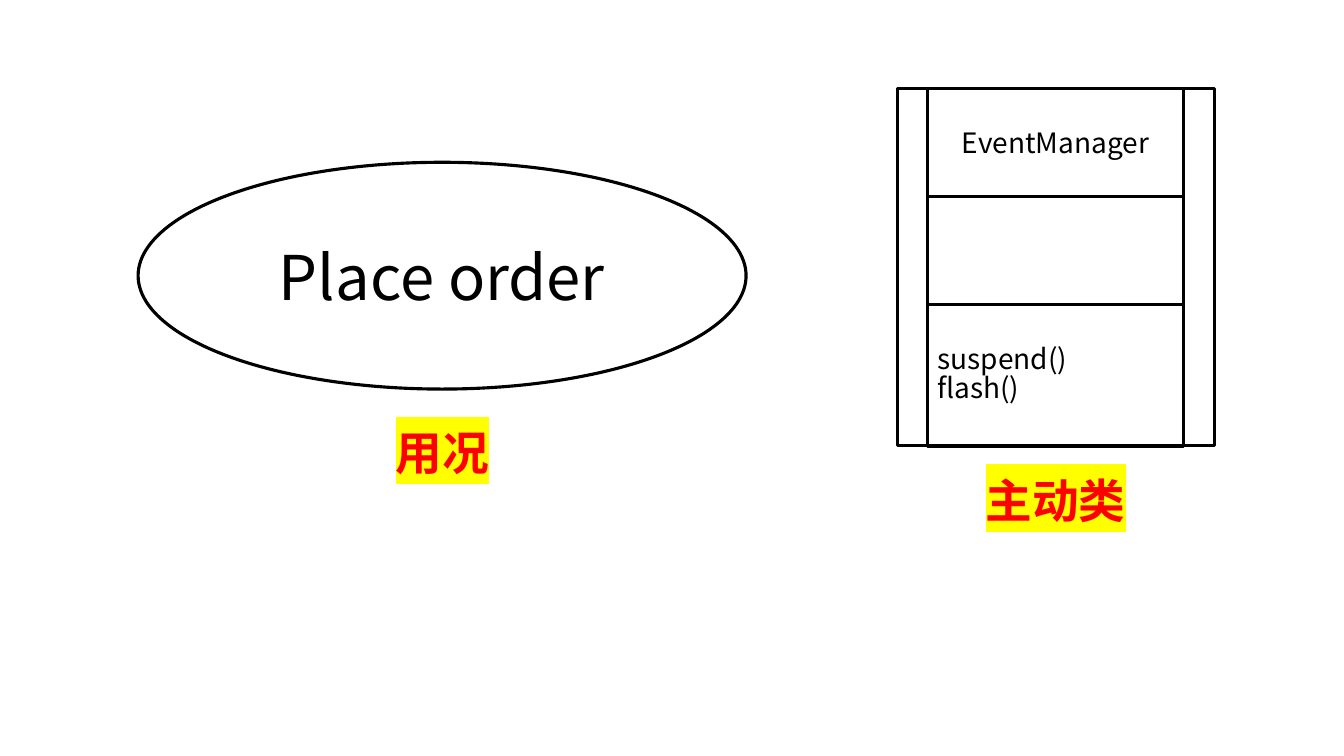
import pptx
import pptx.util
import pptx.dml.color
import pptx.enum.shapes
import pptx.enum.text
import pptx.oxml
import pptx.oxml.ns

PX = 9144  # EMU per px, 100 px to the inch
FONT = "Noto Sans CJK SC"
SHAPE = pptx.enum.shapes.MSO_SHAPE
ALIGN = pptx.enum.text.PP_ALIGN
ANCHOR = pptx.enum.text.MSO_ANCHOR
SYMBOL_TEXT = {"size": 20, "color": "000000", "bold": False}
CAPTION_TEXT = {"size": 33.3, "color": "FF0000", "bold": True}


def rgb(code):
    return pptx.dml.color.RGBColor.from_string(code)


def write(shape, lines, look, align, spacing=None):
    for number, line in enumerate(lines):
        frame = shape.text_frame
        para = frame.add_paragraph() if number else frame.paragraphs[0]
        para.alignment = align
        if spacing:
            para.line_spacing = spacing
        span = para.add_run()
        span.text = line
        values = {"name": FONT, "size": pptx.util.Pt(look["size"]), "bold": look["bold"]}
        for name, value in values.items():
            setattr(span.font, name, value)
        span.font.color.rgb = rgb(look["color"])
        # East Asian typeface
        latin = span.font._element.find(pptx.oxml.ns.qn("a:latin"))
        latin.addnext(pptx.oxml.parse_xml(
            f'<a:ea {pptx.oxml.ns.nsdecls("a")} typeface="{FONT}"/>'))


deck = pptx.Presentation()
deck.slide_width, deck.slide_height = 1333 * PX, 750 * PX
page = deck.slides.add_slide(deck.slide_layouts[6])
use_case = page.shapes.add_group_shape()
active_class = page.shapes.add_group_shape()

# Symbols: the use case ellipse, the three class compartments and their frame
symbols = [
    (use_case, SHAPE.OVAL, (137, 161, 603, 225), "FFFFFF", ["Place order"], 44, ALIGN.CENTER),
    (active_class, SHAPE.RECTANGLE, (920, 88, 254, 107), None, ["EventManager"], 20, ALIGN.CENTER),
    (active_class, SHAPE.RECTANGLE, (920, 195, 254, 107), None, [], 20, ALIGN.CENTER),
    (active_class, SHAPE.RECTANGLE, (920, 302, 254, 141), None, ["suspend()", "flash()"], 20, ALIGN.LEFT),
    (active_class, SHAPE.RECTANGLE, (890, 88, 315, 354), None, [], 20, ALIGN.CENTER),
]
for group, kind, place, fill, lines, size, align in symbols:
    symbol = group.shapes.add_shape(kind, *(length * PX for length in place))
    symbol.shadow.inherit = False
    if fill:
        symbol.fill.solid()
        symbol.fill.fore_color.rgb = rgb(fill)
    else:
        symbol.fill.background()
    symbol.line.color.rgb = rgb("000000")
    symbol.line.width = pptx.util.Pt(2.25)
    symbol.text_frame.vertical_anchor = ANCHOR.MIDDLE
    write(symbol, lines, {**SYMBOL_TEXT, "size": size}, align, 0.85 if len(lines) > 1 else None)

# Highlighted captions under the symbols
for group, left, top, caption in [(use_case, 286, 422, "用况"), (active_class, 894, 469, "主动类")]:
    box = group.shapes.add_textbox(left * PX, top * PX, 306 * PX, 54 * PX)
    frame_format = {"word_wrap": True, "vertical_anchor": ANCHOR.BOTTOM, "margin_left": 0,
                    "margin_right": 0, "margin_top": 0, "margin_bottom": 0}
    for name, value in frame_format.items():
        setattr(box.text_frame, name, value)
    write(box, [caption], CAPTION_TEXT, ALIGN.CENTER, 0.8)
    font = box.text_frame.paragraphs[0].runs[0].font
    font._element.find(pptx.oxml.ns.qn("a:solidFill")).addnext(pptx.oxml.parse_xml(
        f'<a:highlight {pptx.oxml.ns.nsdecls("a")}><a:srgbClr val="FFFF00"/></a:highlight>'))

deck.save("out.pptx")
